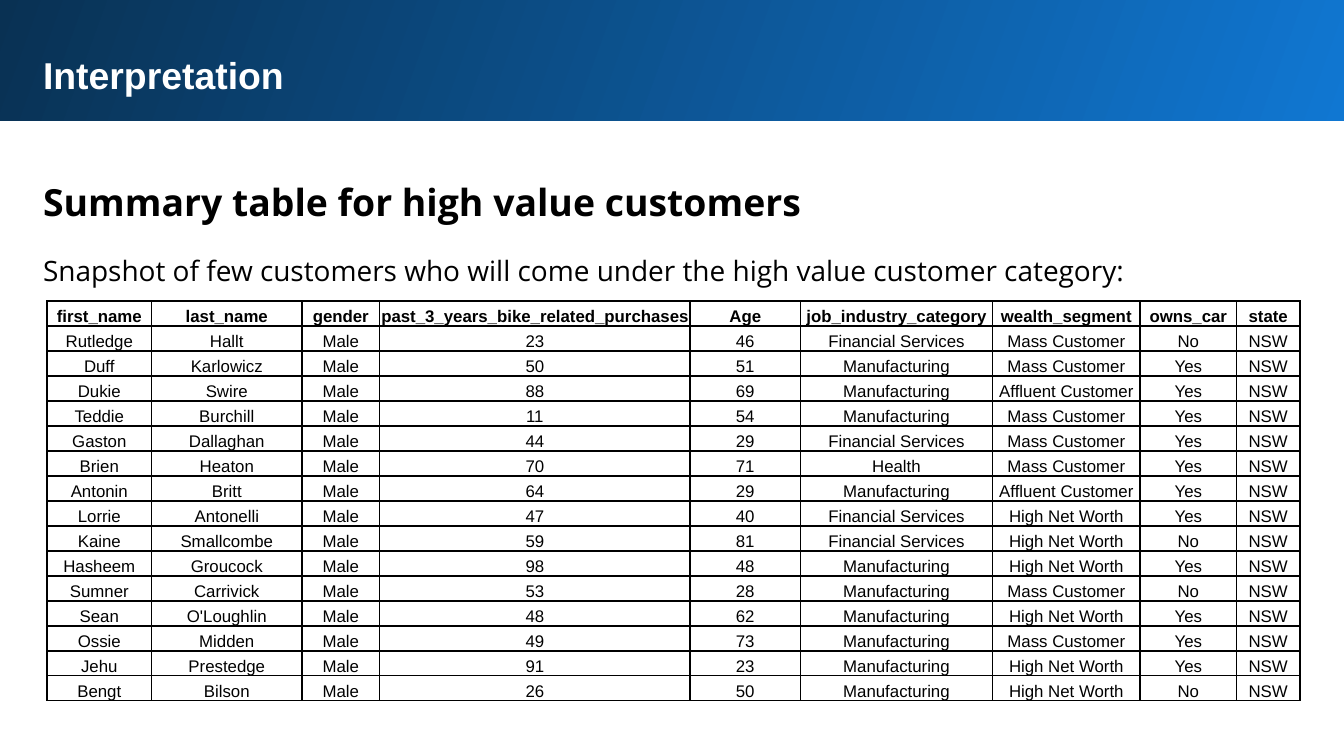
from typing import NamedTuple

from lxml.etree import SubElement
from pptx import Presentation
from pptx.dml.color import RGBColor
from pptx.enum.shapes import MSO_SHAPE as Shape
from pptx.enum.text import MSO_ANCHOR as Anchor, PP_ALIGN as Align
from pptx.oxml.ns import qn
from pptx.util import Pt

COLORS = {
    "white": "FFFFFF",
    "black": "000000",
    "light_blue": "1077D2",
    "navy": "093153",
}


class Customer(NamedTuple):
    first_name: str
    last_name: str
    gender: str
    past_3_years_bike_related_purchases: int
    Age: int
    job_industry_category: str
    wealth_segment: str
    owns_car: str
    state: str


class Heading(NamedTuple):
    text: str
    top: float
    height: float
    size: float
    font: str
    color: str
    bold: bool
    spacing: float


MAKING, FINANCE, HEALTH = "Manufacturing", "Financial Services", "Health"
MASS, AFFLUENT, HIGH = "Mass Customer", "Affluent Customer", "High Net Worth"

CUSTOMERS = [
    Customer("Rutledge", "Hallt", "Male", 23, 46, FINANCE, MASS, "No", "NSW"),
    Customer("Duff", "Karlowicz", "Male", 50, 51, MAKING, MASS, "Yes", "NSW"),
    Customer("Dukie", "Swire", "Male", 88, 69, MAKING, AFFLUENT, "Yes", "NSW"),
    Customer("Teddie", "Burchill", "Male", 11, 54, MAKING, MASS, "Yes", "NSW"),
    Customer("Gaston", "Dallaghan", "Male", 44, 29, FINANCE, MASS, "Yes", "NSW"),
    Customer("Brien", "Heaton", "Male", 70, 71, HEALTH, MASS, "Yes", "NSW"),
    Customer("Antonin", "Britt", "Male", 64, 29, MAKING, AFFLUENT, "Yes", "NSW"),
    Customer("Lorrie", "Antonelli", "Male", 47, 40, FINANCE, HIGH, "Yes", "NSW"),
    Customer("Kaine", "Smallcombe", "Male", 59, 81, FINANCE, HIGH, "No", "NSW"),
    Customer("Hasheem", "Groucock", "Male", 98, 48, MAKING, HIGH, "Yes", "NSW"),
    Customer("Sumner", "Carrivick", "Male", 53, 28, MAKING, MASS, "No", "NSW"),
    Customer("Sean", "O'Loughlin", "Male", 48, 62, MAKING, HIGH, "Yes", "NSW"),
    Customer("Ossie", "Midden", "Male", 49, 73, MAKING, MASS, "Yes", "NSW"),
    Customer("Jehu", "Prestedge", "Male", 91, 23, MAKING, HIGH, "Yes", "NSW"),
    Customer("Bengt", "Bilson", "Male", 26, 50, MAKING, HIGH, "No", "NSW"),
]

HEADINGS = [
    Heading("Interpretation", 20.9, 59.8, 20, "Arial", "white", True, 1),
    Heading("Summary table for high value customers",
            85, 40.3, 20, "Open Sans", "black", True, 1.15),
    Heading("Snapshot of few customers who will come under the high value "
            "customer category:", 126, 35.3, 15, "Open Sans", "black", False, 1.15),
]

COLUMN_WIDTHS = [56, 80.6, 41.6, 166.4, 59, 103, 79, 51.8, 33.8]
ROW_HEIGHT = 13.38


def rgb(name: str) -> RGBColor:
    return RGBColor.from_string(COLORS[name])


def write(tf, text: str, *, size: float, font: str = "Arial", color: str = "black",
          bold: bool = False, align=Align.LEFT, spacing: float = 1) -> None:
    p = tf.paragraphs[0]
    p.alignment = align
    p.line_spacing = spacing
    r = p.add_run()
    r.text = text
    r.font.size = Pt(size)
    r.font.name = font
    r.font.bold = bold
    r.font.color.rgb = rgb(color)


def add_banner(s) -> None:
    sp = s.shapes.add_shape(Shape.RECTANGLE, Pt(-1.5), Pt(-1.5), Pt(723.5), Pt(66.3))
    sp.shadow.inherit = False
    sp.line.fill.background()
    sp.fill.gradient()
    sp.fill.gradient_angle = 160
    for stop, name, position in zip(sp.fill.gradient_stops, ("light_blue", "navy"), (0, 1)):
        stop.color.rgb = rgb(name)
        stop.position = position


def add_heading(s, h: Heading) -> None:
    sp = s.shapes.add_textbox(Pt(16), Pt(h.top), Pt(674.6), Pt(h.height))
    tf = sp.text_frame
    tf.word_wrap = True
    tf.margin_left = tf.margin_right = tf.margin_top = tf.margin_bottom = Pt(7.2)
    write(tf, h.text, size=h.size, font=h.font, color=h.color, bold=h.bold,
          spacing=h.spacing)


def add_borders(cell) -> None:
    props = cell._tc.get_or_add_tcPr()
    for index, side in enumerate(("lnL", "lnR", "lnT", "lnB")):
        line = SubElement(props, qn(f"a:{side}"), w=str(Pt(1)))
        fill = SubElement(line, qn("a:solidFill"))
        SubElement(fill, qn("a:srgbClr"), val=COLORS["black"])
        props.insert(index, line)


def add_customer_table(s) -> None:
    rows = [Customer._fields, *CUSTOMERS]
    table = s.shapes.add_table(
        len(rows), len(COLUMN_WIDTHS), Pt(25.2), Pt(161.3),
        Pt(sum(COLUMN_WIDTHS)), Pt(ROW_HEIGHT * len(rows))).table
    table.first_row = table.horz_banding = False
    for column, width in zip(table.columns, COLUMN_WIDTHS):
        column.width = Pt(width)
    for i, values in enumerate(rows):
        table.rows[i].height = Pt(ROW_HEIGHT)
        for j, value in enumerate(values):
            cell = table.cell(i, j)
            cell.fill.background()
            cell.vertical_anchor = Anchor.BOTTOM
            cell.margin_left = cell.margin_right = cell.margin_top = Pt(0.5)
            cell.margin_bottom = Pt(0)
            write(cell.text_frame, str(value), size=9, bold=i == 0, align=Align.CENTER)
            add_borders(cell)


prs = Presentation()
prs.slide_width, prs.slide_height = Pt(720), Pt(405)
s = prs.slides.add_slide(prs.slide_layouts[6])
add_banner(s)
for heading in HEADINGS:
    add_heading(s, heading)
add_customer_table(s)
prs.save("out.pptx")
